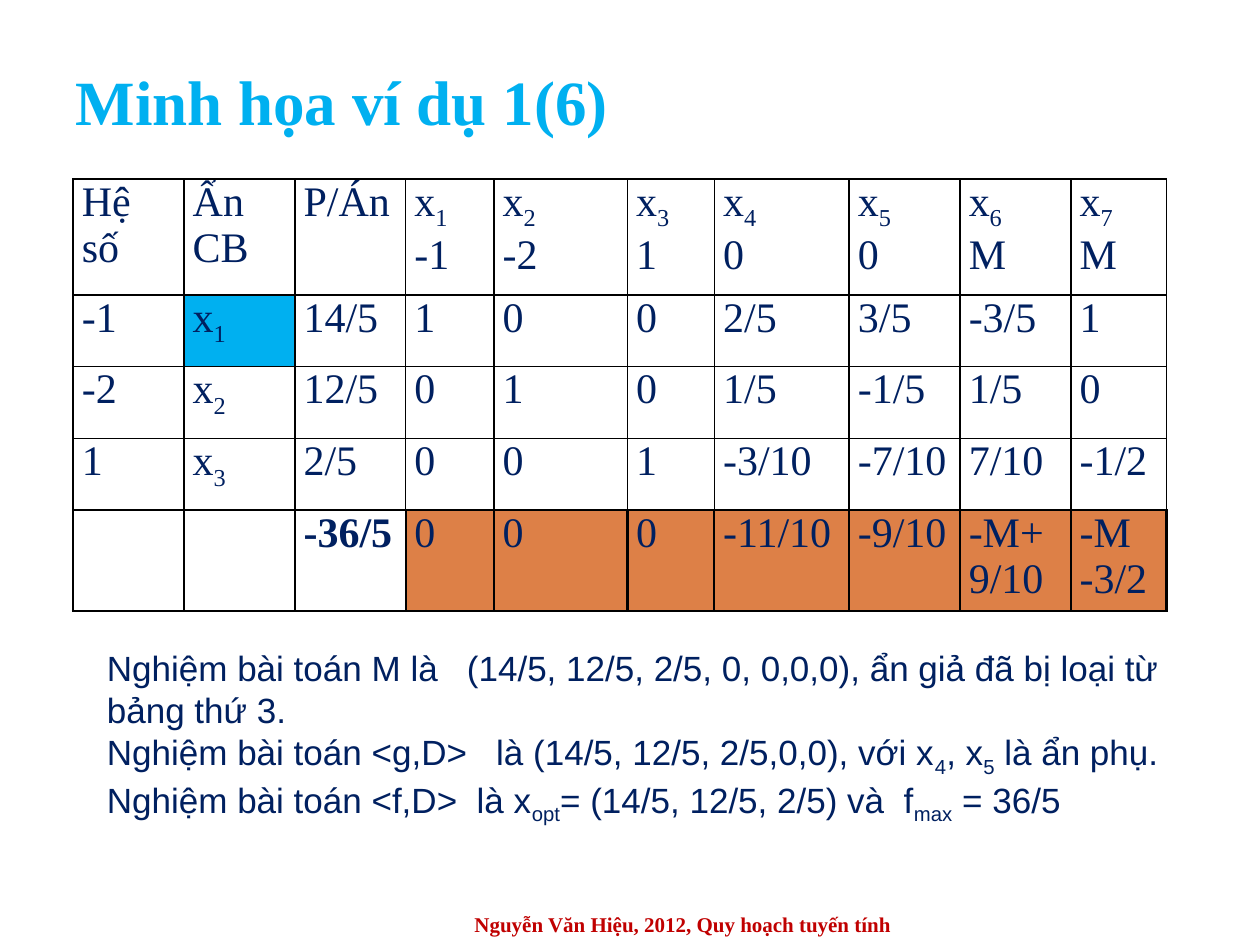
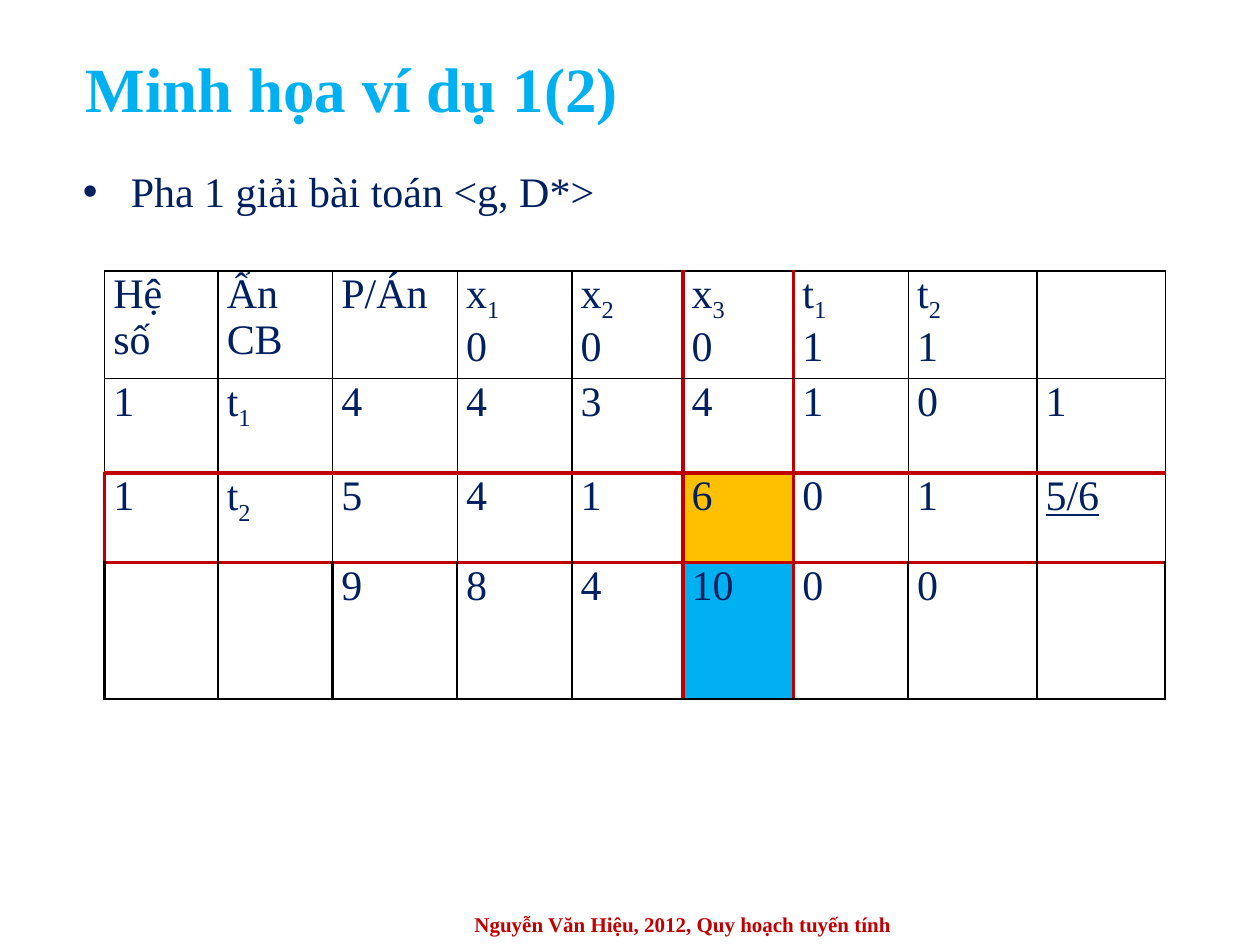
from lxml import etree
from pptx import Presentation
from pptx import util as u
from pptx.dml.color import RGBColor
from pptx.enum import text as t
from pptx.oxml import ns

SKY = RGBColor(0x00, 0xB0, 0xF0)
NAVY = RGBColor(0x00, 0x20, 0x60)
RED = RGBColor(0xC0, 0x00, 0x00)
BLACK = RGBColor(0x00, 0x00, 0x00)
CLAY = RGBColor(0xDD, 0x80, 0x47)
GOLD = RGBColor(0xFF, 0xC0, 0x00)

SERIF, SANS = "Times New Roman", "Arial"
WIDE, HIGH = u.Inches(10), u.Inches(7.5)
COLS = 10  # square grid: ten columns across, seven and a half rows down
FOOT = "Nguyễn Văn Hiệu, 2012, Quy hoạch tuyến tính"

COST = [
    ["Hệ số", "Ẩn CB", "P/Án", "x~1~\n-1", "x~2~\n-2", "x~3~\n1",
     "x~4~\n0", "x~5~\n0", "x~6~\nM", "x~7~\nM"],
    ["-1", "x~1~", "14/5", "1", "0", "0", "2/5", "3/5", "-3/5", "1"],
    ["-2", "x~2~", "12/5", "0", "1", "0", "1/5", "-1/5", "1/5", "0"],
    ["1", "x~3~", "2/5", "0", "0", "1", "-3/10", "-7/10", "7/10", "-1/2"],
    ["", "", "-36/5", "0", "0", "0", "-11/10", "-9/10", "-M+\n9/10", "-M\n-3/2"],
]
PHASE = [
    ["Hệ số", "Ẩn CB", "P/Án", "x~1~\n0", "x~2~\n0", "x~3~\n0",
     "t~1~\n1", "t~2~\n1", ""],
    ["1", "t~1~", "4", "4", "3", "4", "1", "0", "1"],
    ["1", "t~2~", "5", "4", "1", "6", "0", "1", "5/6"],
    ["", "", "9", "8", "4", "10", "0", "0", ""],
]
RESULT = (
    "Nghiệm bài toán M là   (14/5, 12/5, 2/5, 0, 0,0,0), ẩn giả đã bị loại từ bảng thứ 3.\n"
    "Nghiệm bài toán <g,D>   là (14/5, 12/5, 2/5,0,0), với x~4~, x~5~ là ẩn phụ.\n"
    "Nghiệm bài toán <f,D>  là x~opt~= (14/5, 12/5, 2/5) và  f~max~ = 36/5"
)


def grid(n):
    return int(WIDE * n / COLS)


def node(top, tag, **attrs):
    return etree.SubElement(top, ns.qn(tag), {k: str(v) for k, v in attrs.items()})


def paint(top, color):
    node(node(top, "a:solidFill"), "a:srgbClr", val=color)


def write(frame, words, size=24, font=SERIF, color=NAVY, bold=False,
          under=False, align=t.PP_ALIGN.LEFT):
    """Fill a text frame; newlines part paragraphs, ~marks~ hold subscripts."""
    frame.word_wrap = True
    for i, line in enumerate(words.split("\n")):
        para = frame.add_paragraph() if i else frame.paragraphs[0]
        para.alignment = align
        for j, piece in enumerate(line.split("~")):
            if not piece:
                continue
            run = para.add_run()
            run.text = piece
            face = run.font
            face.size, face.name = u.Pt(size), font
            face.bold, face.underline = bold, under
            face.color.rgb = color
            if j % 2:
                run._r.get_or_add_rPr().set("baseline", "-25000")


def label(slide, box, words, anchor=t.MSO_ANCHOR.MIDDLE, **form):
    frame = slide.shapes.add_textbox(*map(grid, box)).text_frame
    frame.vertical_anchor = anchor
    write(frame, words, **form)
    return frame


def bullet(para, indent):
    pad = grid(indent)
    prop = para._p.get_or_add_pPr()
    prop.set("marL", str(pad))
    prop.set("indent", str(-pad))
    paint_to = node(prop, "a:buClr")
    node(paint_to, "a:srgbClr", val=NAVY)
    node(prop, "a:buFont", typeface="Arial")
    node(prop, "a:buChar", char="•")


def rule(cell, row, col, last, pivot):
    """Draw a cell's four edges: red by the pivot row and column, thick at the end."""
    prow, pcol = pivot or (-9, -9)
    prop = cell._tc.get_or_add_tcPr()
    for side, spot in (("L", col), ("R", col + 1), ("T", row), ("B", row + 1)):
        flat = side in "TB"
        start = prow if flat else pcol
        hot = spot in (start, start + 1) or (side == "L" and col == 0 and row == prow)
        thick = row == last or (flat and spot == last)
        color, width = (RED, 2.25) if hot else (BLACK, 1.5 if thick else 1)
        paint(node(prop, "a:ln" + side, w=u.Pt(width)), color)


def tableau(slide, left, top, wide, high, data, fills, pivot=None, bold=(), under=()):
    box = map(grid, (left, top, sum(wide), sum(high)))
    table = slide.shapes.add_table(len(data), len(data[0]), *box).table
    table.first_row = table.horz_banding = False
    for col, size in zip(table.columns, wide):
        col.width = grid(size)
    for row, size in zip(table.rows, high):
        row.height = grid(size)
    for r, line in enumerate(data):
        for c, words in enumerate(line):
            cell, spot = table.cell(r, c), (r, c)
            cell.margin_left = cell.margin_right = grid(0.07)
            cell.margin_top = cell.margin_bottom = 0
            rule(cell, r, c, len(data) - 1, pivot)
            if spot in fills:
                cell.fill.solid()
                cell.fill.fore_color.rgb = fills[spot]
            else:
                cell.fill.background()
            write(cell.text_frame, words, bold=spot in bold, under=spot in under,
                  align=t.PP_ALIGN.JUSTIFY)


def base(deck, box, words):
    """Add a slide with its title and footer."""
    slide = deck.slides.add_slide(deck.slide_layouts[5])
    title = slide.shapes.title
    title.left, title.top, title.width, title.height = map(grid, box)
    title.text_frame.auto_size = t.MSO_AUTO_SIZE.NONE
    title.text_frame.vertical_anchor = t.MSO_ANCHOR.MIDDLE
    write(title.text_frame, words, size=36, color=SKY, bold=True)
    label(slide, (2.92, 7.17, 5, 0.33), FOOT, size=12, color=RED, bold=True,
          align=t.PP_ALIGN.CENTER)
    return slide


def final(deck):
    slide = base(deck, (0.5, 0.42, 9, 0.75), "Minh họa ví dụ 1(6)")
    fills = {(4, c): CLAY for c in range(3, 10)}
    fills[1, 1] = SKY
    wide = [0.88, 0.88, 0.88, 0.7, 1.06, 0.69, 1.07, 0.88, 0.88, 0.76]
    tableau(slide, 0.58, 1.42, wide, [0.92] + [0.57] * 3 + [0.71], COST, fills,
            bold=[(4, 2)])
    label(slide, (0.75, 5.08, 8.67, 1.75), RESULT, anchor=t.MSO_ANCHOR.TOP,
          size=20, font=SANS)


def phase(deck):
    slide = base(deck, (0.58, 0.29, 7.16, 0.81), "Minh họa ví dụ 1(2)")
    lead = label(slide, (0.56, 1.21, 8.42, 0.61), "Pha 1 giải bài toán <g, D*>")
    bullet(lead.paragraphs[0], 0.38)
    wide = [0.9, 0.91, 0.99, 0.91, 0.88, 0.88, 0.91, 1.02, 1.02]
    tableau(slide, 0.83, 2.15, wide, [0.85, 0.75, 0.71, 1.08], PHASE,
            {(2, 5): GOLD, (3, 5): SKY}, pivot=(2, 5), under=[(2, 8)])


def main():
    deck = Presentation()
    deck.slide_width, deck.slide_height = WIDE, HIGH
    final(deck)
    phase(deck)
    deck.save("out.pptx")


if __name__ == "__main__":
    main()
